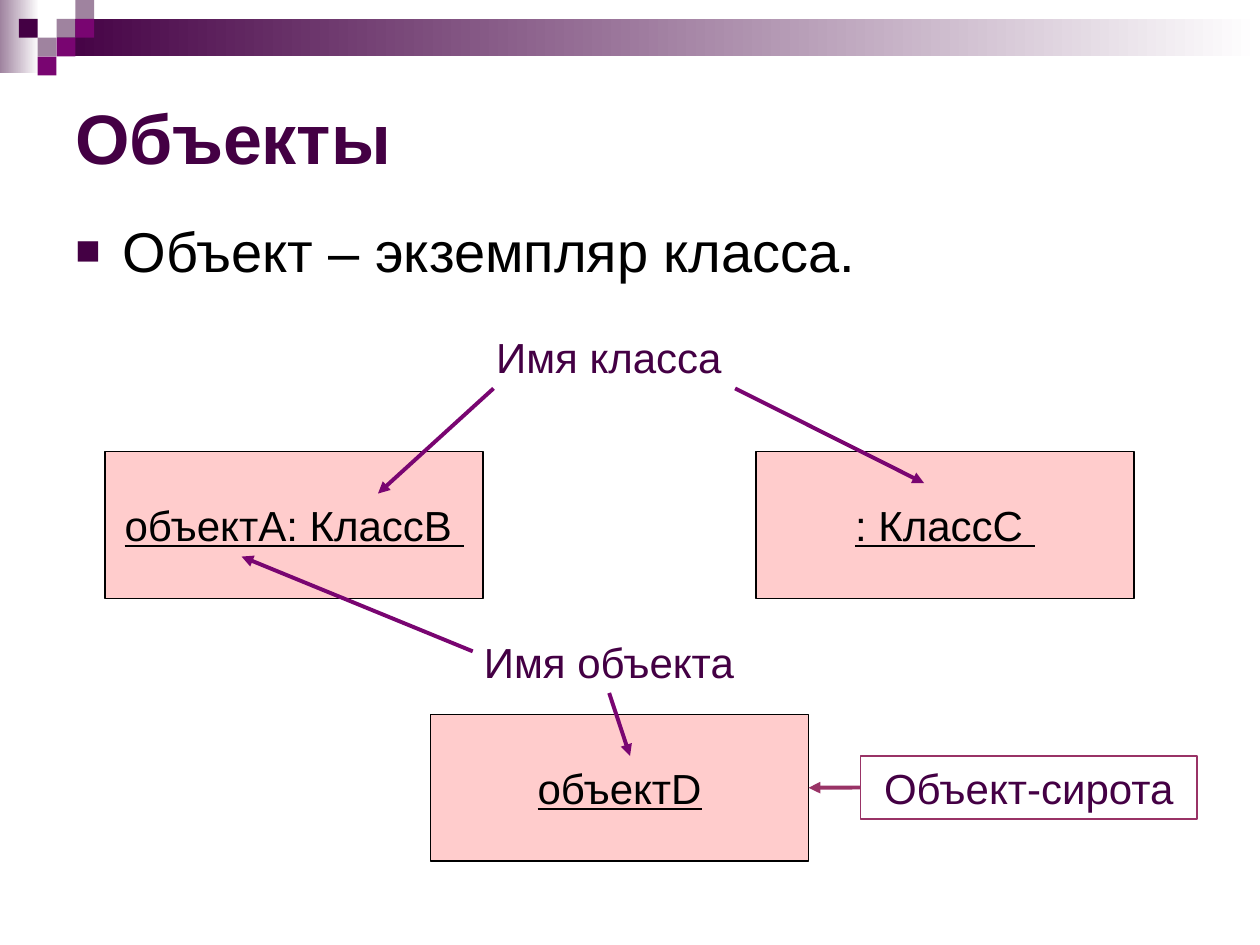
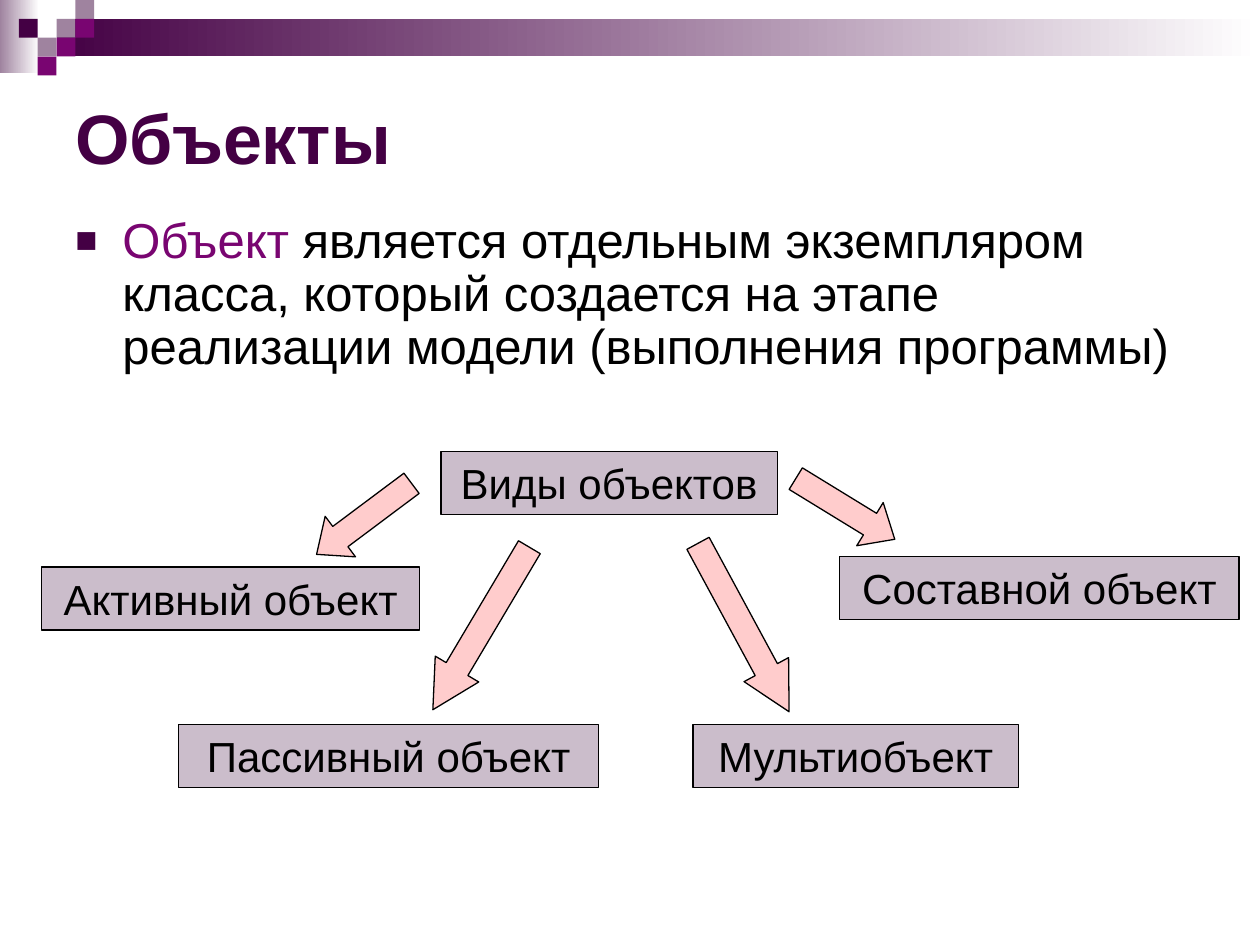
from dataclasses import dataclass

from lxml.etree import SubElement
from pptx import Presentation
from pptx.dml.color import RGBColor
from pptx.enum.shapes import MSO_CONNECTOR as Line, MSO_SHAPE as Form
from pptx.enum.text import MSO_ANCHOR as Anchor, PP_ALIGN as Align
from pptx.oxml.ns import qn
from pptx.util import Cm, Pt


@dataclass(frozen=True)
class Theme:
    font: str = "Arial"
    dark: str = "440044"
    vivid: str = "790571"
    mauve: str = "9F839F"
    pale: str = "CBBDCB"
    pink: str = "FFCCCC"
    wine: str = "993366"
    black: str = "000000"
    white: str = "FFFFFF"
    title: int = 40
    label: int = 24
    thin: float = 0.75
    thick: float = 2.25


T = Theme()

# Content; all lengths are in centimetres
TITLE = "Объекты"
LEAD_1 = [("Объект – экземпляр класса.", T.black)]
LEAD_2 = [
    ("Объект", T.vivid),
    (" является отдельным экземпляром класса, который создается "
     "на этапе реализации модели (выполнения программы)", T.black),
]

OBJECT_SIZE = (7.62, 2.96)
OBJECTS = [  # text, left, top
    ("объектА: КлассВ ", 2.12, 9.1),
    (": КлассС ", 15.24, 9.1),
    ("объектD", 8.68, 14.4),
]
TAG_H = 1.27
NAMES = [("Имя класса", 9.1, 6.56, 6.35), ("Имя объекта", 9.1, 12.7, 6.35)]
ORPHAN = ("Объект-сирота", 17.35, 15.24, 6.78)
POINTERS = [  # start x, y, end x, y
    (14.82, 7.83, 18.63, 9.74),
    (9.95, 7.83, 7.62, 9.95),
    (9.53, 13.13, 4.87, 11.22),
    (12.28, 13.97, 12.7, 15.24),
]

KINDS = [  # text, left, top, width
    ("Виды объектов", 8.89, 9.1, 6.78),
    ("Мультиобъект", 13.97, 14.6, 6.56),
    ("Составной объект", 16.93, 11.22, 8.05),
    ("Пассивный объект", 3.6, 14.6, 8.47),
    ("Активный объект", 0.84, 11.43, 7.62),
]
ARROW_W = 1.02
ARROWS = [  # centre x, y, length, turn in degrees
    (14.99, 12.65, 3.86, 331.6),
    (9.7, 12.67, 3.81, 30.7),
    (17.04, 10.26, 2.34, 301.5),
    (7.34, 10.46, 2.39, 53.2),
]

CELL = 0.38
FADES = [  # left, top, width, height, colour
    (0, 0, 0.79, 1.47, T.mauve),
    (3 * CELL, CELL, 24.26, 2 * CELL, T.dark),
]
CELLS = [  # column, row, colour
    (3, 1, T.mauve), (4, 0, T.mauve), (4, 1, T.vivid), (2, 2, T.mauve),
    (1, 1, T.dark), (3, 2, T.vivid), (2, 3, T.vivid),
]


def rgb(code):
    return RGBColor.from_string(code)


def style(para, size, color=None, bold=None, under=None):
    font = para.font
    font.name, font.size = T.font, Pt(size)
    font.bold, font.underline = bold, under
    if color:
        font.color.rgb = rgb(color)


def shape(slide, form, box, fill=None, line=None):
    item = slide.shapes.add_shape(form, *map(Cm, box))
    item.shadow.inherit = False
    if fill:
        item.fill.solid()
        item.fill.fore_color.rgb = rgb(fill)
    else:
        item.fill.background()
    if line:
        item.line.color.rgb = rgb(line)
        item.line.width = Pt(T.thin)
    else:
        item.line.fill.background()
    return item


def write(item, text, color, under=None, wrap=True):
    frame = item.text_frame
    frame.word_wrap = wrap
    frame.vertical_anchor = Anchor.MIDDLE
    para = frame.paragraphs[0]
    para.text = text
    para.alignment = Align.CENTER
    style(para, T.label, color, under=under)


def tag(slide, text, x, y, w, color, fill=None, line=None):
    item = shape(slide, Form.RECTANGLE, (x, y, w, TAG_H), fill, line)
    write(item, text, color)
    return item


def pointer(slide, x1, y1, x2, y2, color):
    item = slide.shapes.add_connector(
        Line.STRAIGHT, Cm(x1), Cm(y1), Cm(x2), Cm(y2))
    item.line.color.rgb = rgb(color)
    item.line.width = Pt(T.thick)
    SubElement(item.line._get_or_add_ln(), qn("a:tailEnd"), type="triangle")
    SubElement(item._element.spPr, qn("a:effectLst"))
    return item


def bullet(para):
    props = para._p.get_or_add_pPr()
    props.set("marL", str(Cm(0.95)))
    props.set("indent", str(-Cm(0.95)))
    tint = SubElement(props, qn("a:buClr"))
    SubElement(tint, qn("a:srgbClr"), val=T.dark)
    SubElement(props, qn("a:buSzPct"), val="75000")
    SubElement(props, qn("a:buFont"), typeface=T.font)
    SubElement(props, qn("a:buChar"), char="■")


def band(slide):
    """Draw the faded strips and the stepped squares at the top."""
    for *box, color in FADES:
        fill = shape(slide, Form.RECTANGLE, box, color).fill
        fill.gradient()
        fill.gradient_angle = 0
        for stop, code in zip(fill.gradient_stops, (color, T.white)):
            stop.color.rgb = rgb(code)
        for stop, place in zip(fill.gradient_stops, (0, 1)):
            stop.position = place
    for col, row, color in CELLS:
        shape(slide, Form.RECTANGLE,
              (col * CELL, row * CELL, CELL, CELL), color)


def text_box(slide, y, h):
    frame = slide.shapes.add_textbox(
        Cm(1.27), Cm(y), Cm(22.86), Cm(h)).text_frame
    frame.word_wrap = True
    return frame


def start(deck, lead, size, height, spacing=None):
    """Add a slide with the band, the title and the lead bullet."""
    slide = deck.slides.add_slide(deck.slide_layouts[6])
    band(slide)
    head = text_box(slide, 1.27, 2.97)
    head.vertical_anchor = Anchor.MIDDLE
    head.text = TITLE
    style(head.paragraphs[0], T.title, T.dark, bold=True)
    para = text_box(slide, 4.24, height).paragraphs[0]
    bullet(para)
    para.line_spacing = spacing
    style(para, size)
    for text, color in lead:
        run = para.add_run()
        run.text = text
        run.font.color.rgb = rgb(color)
    return slide


def draw_names(deck):
    slide = start(deck, LEAD_1, 32, 1.83)
    for text, x, y in OBJECTS:
        box = shape(slide, Form.RECTANGLE, (x, y, *OBJECT_SIZE),
                    T.pink, T.black)
        write(box, text, T.black, under=True, wrap=False)
    for name in NAMES:
        tag(slide, *name, T.dark)
    for ends in POINTERS:
        pointer(slide, *ends, T.vivid)
    orphan = tag(slide, *ORPHAN, T.dark, line=T.wine)
    link = pointer(slide, 17.35, 15.88, 16.3, 15.88, T.wine)
    link.begin_connect(orphan, 1)
    link.end_connect(box, 3)


def draw_kinds(deck):
    slide = start(deck, LEAD_2, 28, 3.63, 0.9)
    for kind in KINDS:
        tag(slide, *kind, T.black, T.pale, T.black)
    for x, y, size, turn in ARROWS:
        box = (x - ARROW_W / 2, y - size / 2, ARROW_W, size)
        arrow = shape(slide, Form.DOWN_ARROW, box, T.pink, T.black)
        arrow.adjustments[1] = size / ARROW_W / 4
        arrow.rotation = turn


def main():
    deck = Presentation()
    deck.slide_width, deck.slide_height = Cm(25.4), Cm(19.05)
    draw_names(deck)
    draw_kinds(deck)
    deck.save("out.pptx")


if __name__ == "__main__":
    main()
